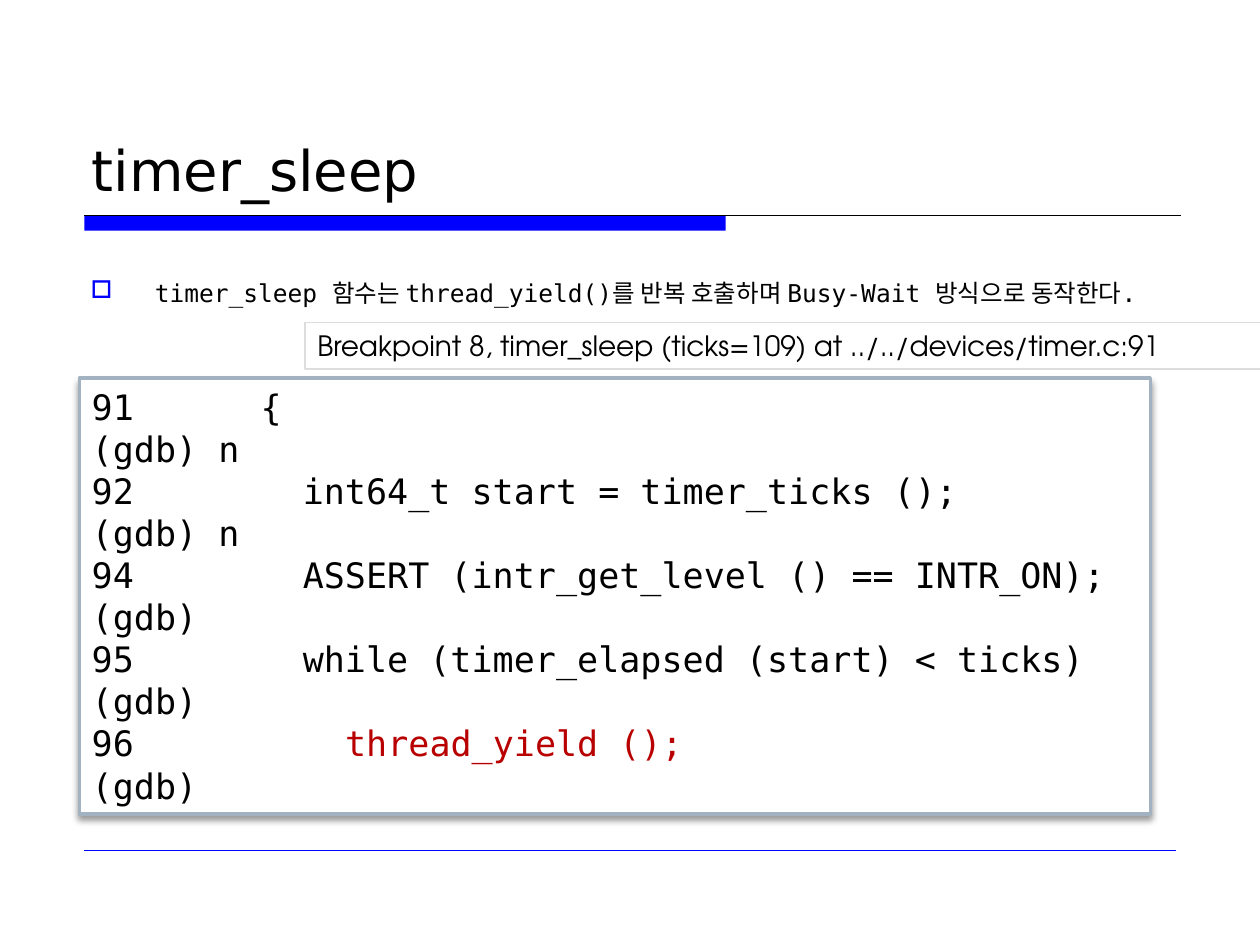
from lxml.etree import SubElement
from pptx import Presentation
from pptx.dml.color import RGBColor
from pptx.enum.shapes import MSO_CONNECTOR, MSO_SHAPE
from pptx.enum.text import MSO_ANCHOR, PP_ALIGN
from pptx.oxml.ns import qn
from pptx.util import Inches, Pt

THEME = {
    "ink": "000000", "blue": "0000FF", "paper": "FFFFFF",
    "edge": "A3B2C1", "pale": "DDDDDD", "red": "B90000",
    "title": {"name": "DejaVu Sans", "size": Pt(32)},
    "body": {"name": "DejaVu Sans Mono", "size": Pt(14)},
    "code": {"name": "DejaVu Sans Mono", "size": Pt(20)},
    "note": {"name": "TeX Gyre Adventor", "size": Pt(16)},
}
TITLE = "timer_sleep"
POINT = "timer_sleep 함수는 thread_yield()를 반복 호출하며 Busy-Wait 방식으로 동작한다."
NOTE = "Breakpoint 8, timer_sleep (ticks=109) at ../../devices/timer.c:91"
CODE = [
    [("91      {", "ink")],
    [("(gdb) n", "ink")],
    [("92        int64_t start = timer_ticks ();", "ink")],
    [("(gdb) n", "ink")],
    [("94        ASSERT (intr_get_level () == INTR_ON);", "ink")],
    [("(gdb)", "ink")],
    [("95        while (timer_elapsed (start) < ticks)", "ink")],
    [("(gdb)", "ink")],
    [("96          ", "ink"), ("thread_yield ();", "red")],
    [("(gdb)", "ink")],
]
RULES = [((0.67, 1.71), (9.37, 1.71), "ink", 0.75),
         ((0.67, 6.75), (9.33, 6.75), "blue", 0.25)]


def tint(key):
    """Return a theme colour."""
    return RGBColor.from_string(THEME[key])


def assign(obj, values):
    """Set each attribute in a dict."""
    for key, value in values.items():
        setattr(obj, key, value)


def node(parent, tag, **attrs):
    """Add an XML child."""
    return SubElement(parent, qn(tag), attrs)


def write(shape, rows, style, anchor=MSO_ANCHOR.TOP, **layout):
    """Fill a shape with rows of coloured runs."""
    frame = shape.text_frame
    assign(frame, {"word_wrap": True, "vertical_anchor": anchor})
    for i, row in enumerate(rows):
        para = frame.add_paragraph() if i else frame.paragraphs[0]
        assign(para, {"alignment": PP_ALIGN.LEFT, **layout})
        for text, key in row:
            run = para.add_run()
            run.text = text
            assign(run.font, THEME[style])
            run.font.color.rgb = tint(key)
    return frame


def label(slide, box, text, style, anchor=MSO_ANCHOR.TOP):
    """Add a text box with one line of text."""
    shape = slide.shapes.add_textbox(*map(Inches, box))
    return write(shape, [[(text, "ink")]], style, anchor)


def panel(slide, box, fill=None, edge=None, width=0):
    """Add a rectangle."""
    shape = slide.shapes.add_shape(MSO_SHAPE.RECTANGLE, *map(Inches, box))
    shape.shadow.inherit = False
    if fill:
        shape.fill.solid()
        shape.fill.fore_color.rgb = tint(fill)
    else:
        shape.fill.background()
    if edge:
        shape.line.color.rgb = tint(edge)
        shape.line.width = Pt(width)
    else:
        shape.line.fill.background()
    return shape


def rule(slide, start, end, key, width):
    """Add a straight line."""
    line = slide.shapes.add_connector(
        MSO_CONNECTOR.STRAIGHT, *map(Inches, start + end))
    line.line.color.rgb = tint(key)
    line.line.width = Pt(width)
    node(line._element.spPr, "a:effectLst")


def bullet(para):
    """Give a paragraph a blue box bullet and hanging indent."""
    props = para._p.get_or_add_pPr()
    hang = Inches(0.51)
    assign_xml = {"marL": str(hang), "indent": str(-hang)}
    props.attrib.update(assign_xml)
    node(node(props, "a:buClr"), "a:srgbClr", val=THEME["blue"])
    node(props, "a:buChar", char="□")


def shade(shape):
    """Add a soft shadow below a shape."""
    effects = shape._element.spPr.find(qn("a:effectLst"))
    outer = node(effects, "a:outerShdw", blurRad=str(Pt(4)), dist=str(Pt(3)),
                 dir=str(90 * 60000), algn="t", rotWithShape="0")
    node(node(outer, "a:srgbClr", val=THEME["ink"]), "a:alpha", val="40000")


def main():
    """Build the slide."""
    deck = Presentation()
    assign(deck, {"slide_width": Inches(10), "slide_height": Inches(7.5)})
    slide = deck.slides.add_slide(deck.slide_layouts[6])
    panel(slide, (0.67, 1.71, 5.09, 0.12), "blue")
    for item in RULES:
        rule(slide, *item)
    label(slide, (0.63, 0.33, 8.75, 1.33), TITLE, "title", MSO_ANCHOR.BOTTOM)
    bullet(label(slide, (0.62, 2.16, 8.75, 0.6), POINT, "body").paragraphs[0])
    code = panel(slide, (0.63, 3, 8.5, 3.46), "paper", "edge", 2)
    shade(code)
    write(code, CODE, "code", MSO_ANCHOR.MIDDLE, line_spacing=Pt(24))
    note = panel(slide, (2.42, 2.56, 8.33, 0.37), None, "pale", 0.75)
    write(note, [[(NOTE, "ink")]], "note")
    deck.save("out.pptx")


if __name__ == "__main__":
    main()
